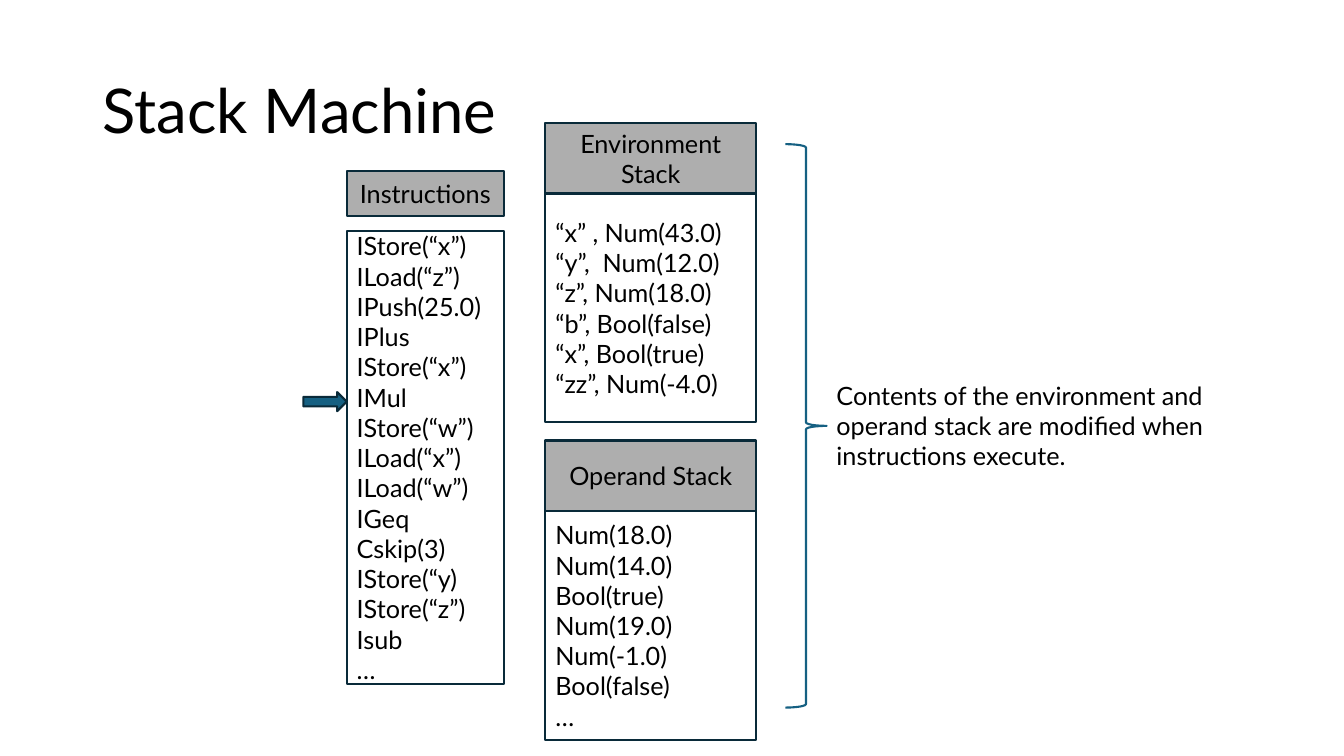
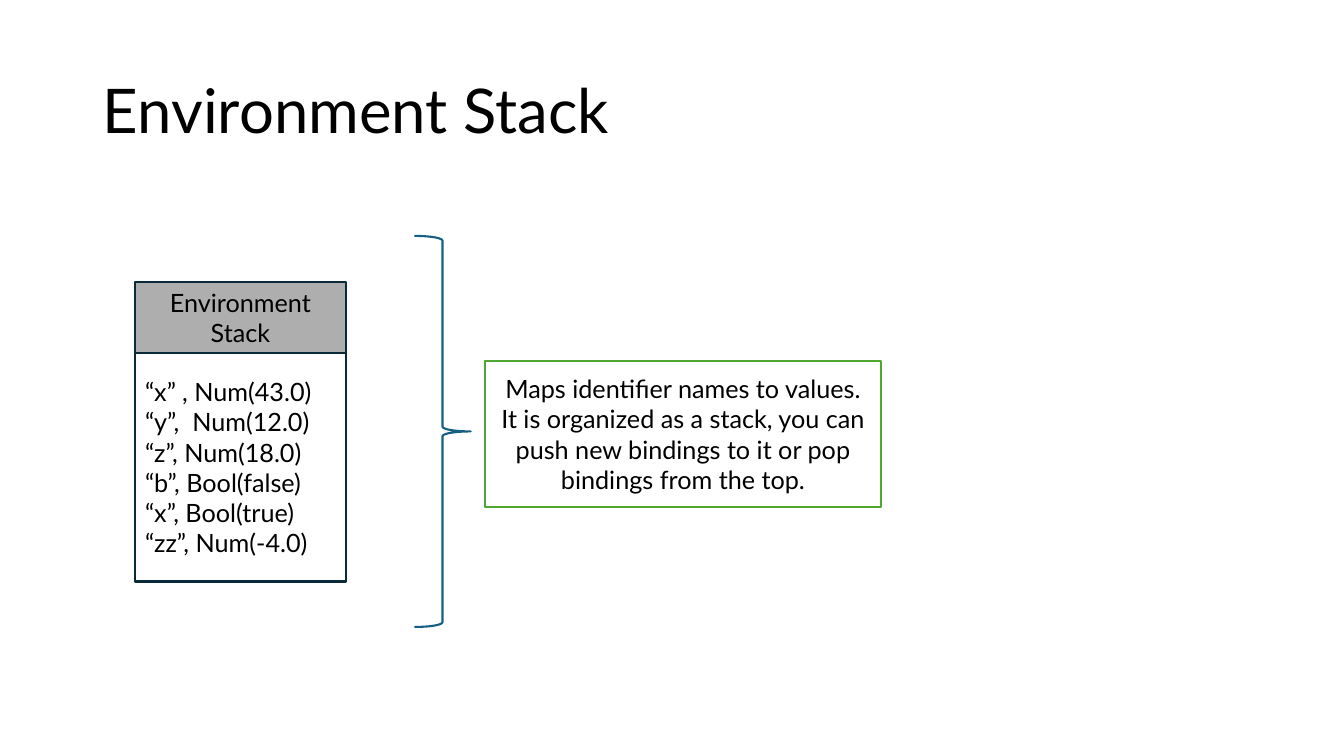
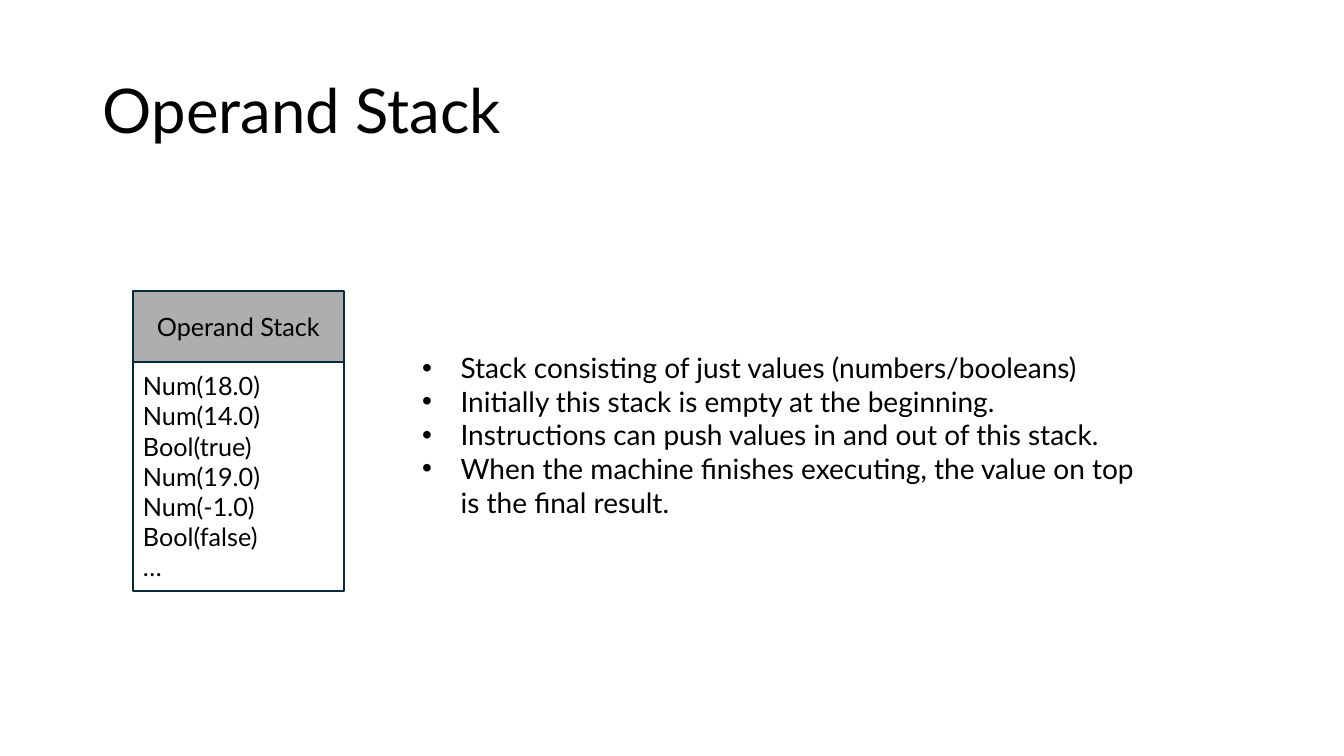
from dataclasses import dataclass

from lxml.etree import SubElement
from pptx import Presentation
from pptx.dml.color import RGBColor
from pptx.enum.shapes import MSO_SHAPE as Preset
from pptx.enum.text import MSO_ANCHOR as Anchor, MSO_AUTO_SIZE as AutoSize, PP_ALIGN as Align
from pptx.oxml.ns import qn
from pptx.util import Inches, Pt

SLIDE_WIDTH, SLIDE_HEIGHT = Inches(13.33), Inches(7.5)
TITLE_ONLY = 5


@dataclass(frozen=True)
class Theme:
    font: str = "Lato"
    text: str = "000000"
    paper: str = "FFFFFF"
    header: str = "AEAEAE"
    outline: str = "092A39"
    accent: str = "156082"
    note: str = "4EA72E"
    title_size: float = 44
    bullet_size: float = 20
    body_size: float = 18
    line_width: float = 1.5
    bullet_indent: float = 0.38


THEME = Theme()

# Boxes are (left, top, width, height) in percent of the slide.
TITLE_BOX = (6.9, 5.33, 86.25, 19.33)
STACK_WIDTH, STACK_HEADER, STACK_BODY = 15.68, 9.33, 30.27

INSTRUCTIONS = [
    "IStore(“x”)", "ILoad(“z”)", "IPush(25.0)", "IPlus", "IStore(“x”)",
    "IMul", "IStore(“w”)", "ILoad(“x”)", "ILoad(“w”)", "IGeq",
    "Cskip(3)", "IStore(“y)", "IStore(“z”)", "Isub", "…",
]
ENVIRONMENT = ("Environment Stack", [
    "“x” , Num(43.0)", "“y”,  Num(12.0)", "“z”, Num(18.0)",
    "“b”, Bool(false)", "“x”, Bool(true)", "“zz”, Num(-4.0)",
])
OPERANDS = ("Operand Stack", [
    "Num(18.0)", "Num(14.0)", "Bool(true)", "Num(19.0)",
    "Num(-1.0)", "Bool(false)", "…",
])


def place(box):
    """Turn percentages of the slide into lengths."""
    sides = (SLIDE_WIDTH, SLIDE_HEIGHT) * 2
    return [round(side * share / 100) for side, share in zip(sides, box)]


def write(text_frame, lines, size=THEME.body_size, alignment=Align.LEFT):
    text_frame.text = "\n".join(lines)
    for paragraph in text_frame.paragraphs:
        paragraph.alignment = alignment
        for run in paragraph.runs:
            run.font.name = THEME.font
            run.font.size = Pt(size)
            run.font.color.rgb = RGBColor.from_string(THEME.text)


def add_titled_slide(presentation, title):
    slide = presentation.slides.add_slide(presentation.slide_layouts[TITLE_ONLY])
    shape = slide.shapes.title
    shape.left, shape.top, shape.width, shape.height = place(TITLE_BOX)
    write(shape.text_frame, [title], THEME.title_size)
    shape.text_frame.vertical_anchor = Anchor.MIDDLE
    shape.text_frame.paragraphs[0].line_spacing = 0.9
    return slide


def add_preset(slide, preset, box, fill=None, line=THEME.outline):
    shape = slide.shapes.add_shape(preset, *place(box))
    shape.shadow.inherit = False
    if fill:
        shape.fill.solid()
        shape.fill.fore_color.rgb = RGBColor.from_string(fill)
    else:
        shape.fill.background()
    shape.line.color.rgb = RGBColor.from_string(line)
    shape.line.width = Pt(THEME.line_width)
    return shape


def add_panel(slide, box, lines, alignment=Align.LEFT, **colours):
    shape = add_preset(slide, Preset.RECTANGLE, box, **colours)
    shape.text_frame.vertical_anchor = Anchor.MIDDLE
    write(shape.text_frame, lines, alignment=alignment)


def add_header(slide, box, label):
    add_panel(slide, box, [label], Align.CENTER, fill=THEME.header)


def add_stack(slide, left, top, stack):
    """Draw the stack's entries with its name in a band on top."""
    name, entries = stack
    add_panel(slide, (left, top + STACK_HEADER, STACK_WIDTH, STACK_BODY), entries)
    add_header(slide, (left, top, STACK_WIDTH, STACK_HEADER), name)


def add_brace(slide, box):
    add_preset(slide, Preset.RIGHT_BRACE, box, line=THEME.accent)


def add_text(slide, box, lines, size=THEME.body_size, wrap=True):
    text_frame = slide.shapes.add_textbox(*place(box)).text_frame
    text_frame.word_wrap = wrap
    text_frame.auto_size = AutoSize.SHAPE_TO_FIT_TEXT
    write(text_frame, lines, size)
    return text_frame


def add_bullets(slide, box, lines):
    indent = Inches(THEME.bullet_indent)
    for paragraph in add_text(slide, box, lines, THEME.bullet_size).paragraphs:
        properties = paragraph._p.get_or_add_pPr()
        properties.set("marL", str(indent))
        properties.set("indent", str(-indent))
        SubElement(properties, qn("a:buFont"), typeface="Arial")
        SubElement(properties, qn("a:buChar"), char="•")


def build_machine(presentation):
    slide = add_titled_slide(presentation, "Stack Machine")
    list_left, list_width, stack_left = 25.8, 11.7, 40.58
    arrow_width = 3.22
    add_header(slide, (list_left, 22.67, list_width, 5.87), "Instructions")
    add_panel(slide, (list_left, 30.53, list_width, 60), INSTRUCTIONS)
    add_stack(slide, stack_left, 16.27, ENVIRONMENT)
    add_stack(slide, stack_left, 58.27, OPERANDS)
    add_preset(slide, Preset.RIGHT_ARROW,
               (list_left - arrow_width, 51.87, arrow_width, 2.53), fill=THEME.accent)
    add_text(slide, (61.5, 49.6, 28.95, 13.47), [
        "Contents of the environment and",
        "operand stack are modified when",
        "instructions execute.",
    ], wrap=False)
    add_brace(slide, (58.43, 19.07, 3.08, 74.53))


def build_environment(presentation):
    slide = add_titled_slide(presentation, "Environment Stack")
    add_stack(slide, 10.05, 37.33, ENVIRONMENT)
    add_panel(slide, (36.08, 47.73, 29.48, 19.33), [
        "Maps identifier names to values.",
        "It is organized as a stack, you can push new bindings to it "
        "or pop bindings from the top.",
    ], Align.CENTER, fill=THEME.paper, line=THEME.note)
    add_brace(slide, (30.83, 31.2, 4.2, 51.73))


def build_operands(presentation):
    slide = add_titled_slide(presentation, "Operand Stack")
    add_stack(slide, 9.9, 38.53, OPERANDS)
    add_bullets(slide, (30.68, 45.73, 54.45, 23.73), [
        "Stack consisting of just values (numbers/booleans)",
        "Initially this stack is empty at the beginning.",
        "Instructions can push values in and out of this stack.",
        "When the machine finishes executing, the value on top is the final result.",
    ])


def main():
    presentation = Presentation()
    presentation.slide_width, presentation.slide_height = SLIDE_WIDTH, SLIDE_HEIGHT
    build_machine(presentation)
    build_environment(presentation)
    build_operands(presentation)
    presentation.save("out.pptx")


if __name__ == "__main__":
    main()
